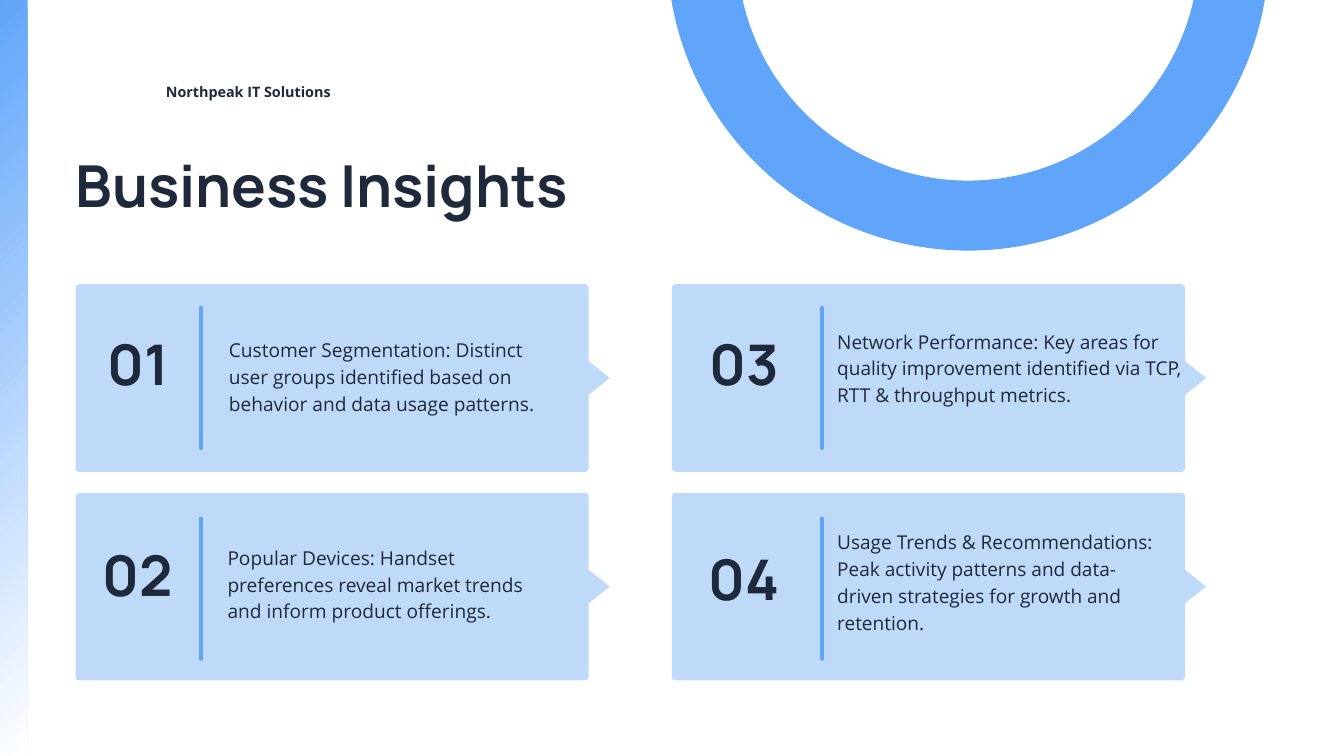
import pptx
import pptx.util
import pptx.dml.color
import pptx.enum.shapes
import pptx.enum.text
import pptx.oxml

SHAPE = pptx.enum.shapes.MSO_SHAPE
ALIGN = pptx.enum.text.PP_ALIGN
PX = 9525
INK, BLUE, PALE, WHITE = "1E293B", "60A5FA", "BFD9F9", "FFFFFF"
CARD_W, CARD_H = 733, 268
TIP_W, TIP_H = 60, 48
RULE_H = 200

CARDS = [
    {"num": "01", "card": (108, 406), "num_at": (137, 489), "rule": (287, 440),
     "body": (327, 478, 446, 112), "size": 20.5, "lead": 28.7,
     "text": "Customer Segmentation: Distinct user groups identified based on "
             "behavior and data usage patterns."},
    {"num": "02", "card": (108, 704), "num_at": (137, 790), "rule": (287, 741),
     "body": (325, 775, 451, 112), "size": 20.5, "lead": 28.7,
     "text": "Popular Devices: Handset preferences reveal market trends and "
             "inform product offerings."},
    {"num": "03", "card": (960, 406), "num_at": (1003, 489), "rule": (1174, 440),
     "body": (1196, 466, 496, 110), "size": 20.4, "lead": 28.6,
     "text": "Network Performance: Key areas for quality improvement identified "
             "via TCP, RTT & throughput metrics."},
    {"num": "04", "card": (960, 704), "num_at": (1003, 795), "rule": (1174, 741),
     "body": (1196, 753, 468, 152), "size": 20.4, "lead": 28.6,
     "text": "Usage Trends & Recommendations: Peak activity patterns and "
             "data-driven strategies for growth and retention."},
]


def emu(*vals):
    """Turn px lengths into EMU."""
    return [pptx.util.Emu(val * PX) for val in vals]


def tint(color, code):
    """Set a colour from a hex string."""
    color.rgb = pptx.dml.color.RGBColor.from_string(code)


def apply(item, vals):
    """Set attributes from a dict of values."""
    for name, val in vals.items():
        setattr(item, name, val)


def write(box, text, size, lead, face, bold=True, align=ALIGN.LEFT):
    """Fill a shape with one formatted paragraph."""
    frame = box.text_frame
    apply(frame, {"margin_left": 0, "margin_top": 0, "margin_right": 0,
                  "margin_bottom": 0, "word_wrap": True,
                  "auto_size": pptx.enum.text.MSO_AUTO_SIZE.NONE,
                  "vertical_anchor": pptx.enum.text.MSO_ANCHOR.TOP})
    frame.text = text
    para = frame.paragraphs[0]
    apply(para, {"alignment": align, "line_spacing": pptx.util.Pt(lead),
                 "space_before": pptx.util.Pt(0)})
    font = para.runs[0].font
    apply(font, {"name": face, "size": pptx.util.Pt(size), "bold": bold})
    tint(font.color, INK)


def label(slide, area, *args, **style):
    """Add a text box."""
    write(slide.shapes.add_textbox(*emu(*area)), *args, **style)


def block(slide, kind, area, code=None):
    """Add a preset shape without outline or shadow."""
    shape = slide.shapes.add_shape(kind, *emu(*area))
    shape.shadow.inherit = False
    shape.line.fill.background()
    if code:
        shape.fill.solid()
        tint(shape.fill.fore_color, code)
    else:
        shape.fill.background()
    return shape


def rule(slide, left, top):
    """Add an upright line with round ends."""
    line = slide.shapes.add_connector(
        pptx.enum.shapes.MSO_CONNECTOR.STRAIGHT,
        *emu(left, top, left, top + RULE_H))
    line.line.width = pptx.util.Pt(4.5)
    tint(line.line.color, BLUE)
    line.line._get_or_add_ln().set("cap", "rnd")
    props = line._element.spPr
    props.append(pptx.oxml.parse_xml(
        '<a:effectLst xmlns:a="http://schemas.openxmlformats.org/drawingml/2006/main"/>'))


def strip(slide):
    """Add the gradient band along the left edge."""
    fill = block(slide, SHAPE.RECTANGLE, (0, 0, 39, 1080), WHITE).fill
    fill.gradient()
    fill.gradient_angle = 315
    for stop, code, pos in zip(fill.gradient_stops, (BLUE, WHITE), (0, 1)):
        tint(stop.color, code)
        stop.position = pos


def ring(slide):
    """Add the thick circle that runs off the top edge."""
    line = block(slide, SHAPE.OVAL, (1003, -452, 760, 760)).line
    tint(line.color, BLUE)
    line.width = pptx.util.Pt(75)


def card(slide, data):
    """Add one numbered insight card."""
    left, top = data["card"]
    base = block(slide, SHAPE.ROUNDED_RECTANGLE, (left, top, CARD_W, CARD_H), PALE)
    base.adjustments[0] = 0.02
    tip = (left + CARD_W - TIP_W // 2, top + (CARD_H - TIP_H) // 2, TIP_W, TIP_H)
    block(slide, SHAPE.DIAMOND, tip, PALE)
    rule(slide, *data["rule"])
    label(slide, (*data["num_at"], 120, 88), data["num"], 60, 58.8, "Manrope",
          align=ALIGN.CENTER)
    label(slide, data["body"], data["text"], data["size"], data["lead"],
          "Open Sans", bold=False)


def main():
    """Build and save the slide."""
    deck = pptx.Presentation()
    deck.slide_width, deck.slide_height = emu(1920, 1080)
    slide = deck.slides.add_slide(deck.slide_layouts[5])
    slide.background.fill.solid()
    tint(slide.background.fill.fore_color, WHITE)
    title = slide.shapes.title
    apply(title, dict(zip(("left", "top", "width", "height"),
                          emu(108, 232, 732, 90))))
    write(title, "Business Insights", 61.9, 60.7, "Manrope")
    strip(slide)
    label(slide, (237, 115, 418, 27), "Northpeak IT Solutions", 15.4, 21.6,
          "Open Sans")
    for data in CARDS:
        card(slide, data)
    ring(slide)
    deck.save("out.pptx")


if __name__ == "__main__":
    main()
